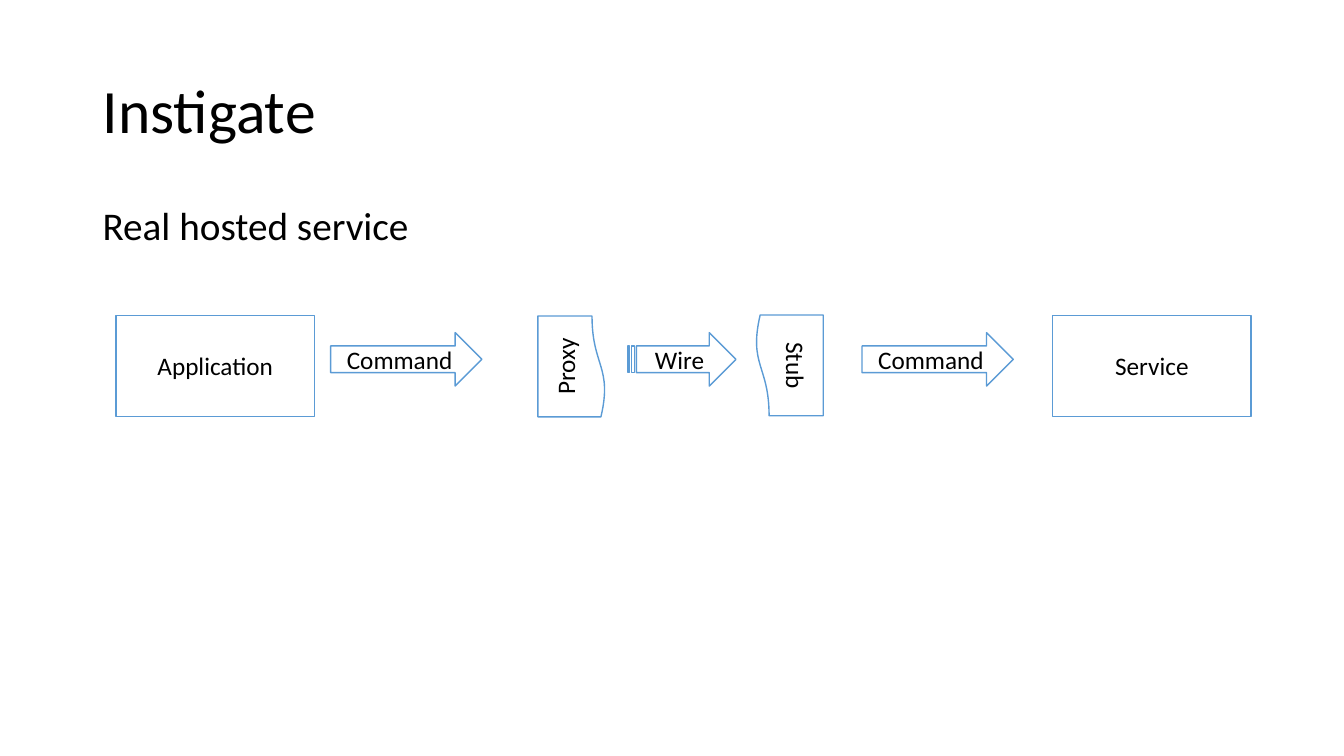
from pptx import Presentation
from pptx.dml.color import RGBColor
from pptx.enum import shapes, text
from pptx.util import Inches, Pt


def paint(color_format, color):
    color_format.rgb = RGBColor.from_string(color)


def write(frame, wording, size, anchor, alignment):
    frame.text = wording
    frame.word_wrap = True
    frame.vertical_anchor = anchor
    paragraph = frame.paragraphs[0]
    paragraph.alignment = alignment
    font = paragraph.runs[0].font
    font.name = "Calibri"
    font.size = Pt(size)
    paint(font.color, "000000")
    return paragraph


deck = Presentation()
deck.slide_width = Inches(13.33)
deck.slide_height = Inches(7.5)
slide = deck.slides.add_slide(deck.slide_layouts[6])

TOP, MIDDLE = text.MSO_ANCHOR.TOP, text.MSO_ANCHOR.MIDDLE
LEFT, CENTER = text.PP_ALIGN.LEFT, text.PP_ALIGN.CENTER

headings = [
    ("Instigate", 0.4, 1.45, 44, MIDDLE, 0),
    ("Real hosted service", 2, 4.76, 28, TOP, 10),
]
for wording, top, height, size, anchor, space_before in headings:
    heading = slide.shapes.add_textbox(Inches(0.92), Inches(top), Inches(11.5), Inches(height))
    paragraph = write(heading.text_frame, wording, size, anchor, LEFT)
    paragraph.line_spacing = 0.9
    paragraph.space_before = Pt(space_before)

kinds = shapes.MSO_SHAPE
endpoint = (kinds.RECTANGLE, 3.13, 1.97, 1, 0)
command = (kinds.RIGHT_ARROW, 3.3, 1.5, 0.53, 0)
wire = (kinds.STRIPED_RIGHT_ARROW, 3.3, 1.07, 0.53, 0)
proxy = (kinds.FLOWCHART_DOCUMENT, 3.3, 1, 0.67, 270)
stub = (kinds.FLOWCHART_DOCUMENT, 3.29, 1, 0.67, 90)

pipeline = [
    ("Application", 1.15, endpoint),
    ("Service", 10.44, endpoint),
    ("Command", 3.28, command),
    ("Proxy", 5.17, proxy),
    ("Stub", 7.33, stub),
    ("Wire", 6.23, wire),
    ("Command", 8.55, command),
]
for wording, left, (kind, top, width, height, rotation) in pipeline:
    stage = slide.shapes.add_shape(kind, Inches(left), Inches(top), Inches(width), Inches(height))
    stage.rotation = rotation
    stage.shadow.inherit = False
    stage.fill.solid()
    paint(stage.fill.fore_color, "FFFFFF")
    paint(stage.line.color, "5B9BD5")
    stage.line.width = Pt(1)
    write(stage.text_frame, wording, 18, MIDDLE, CENTER)

deck.save("out.pptx")
